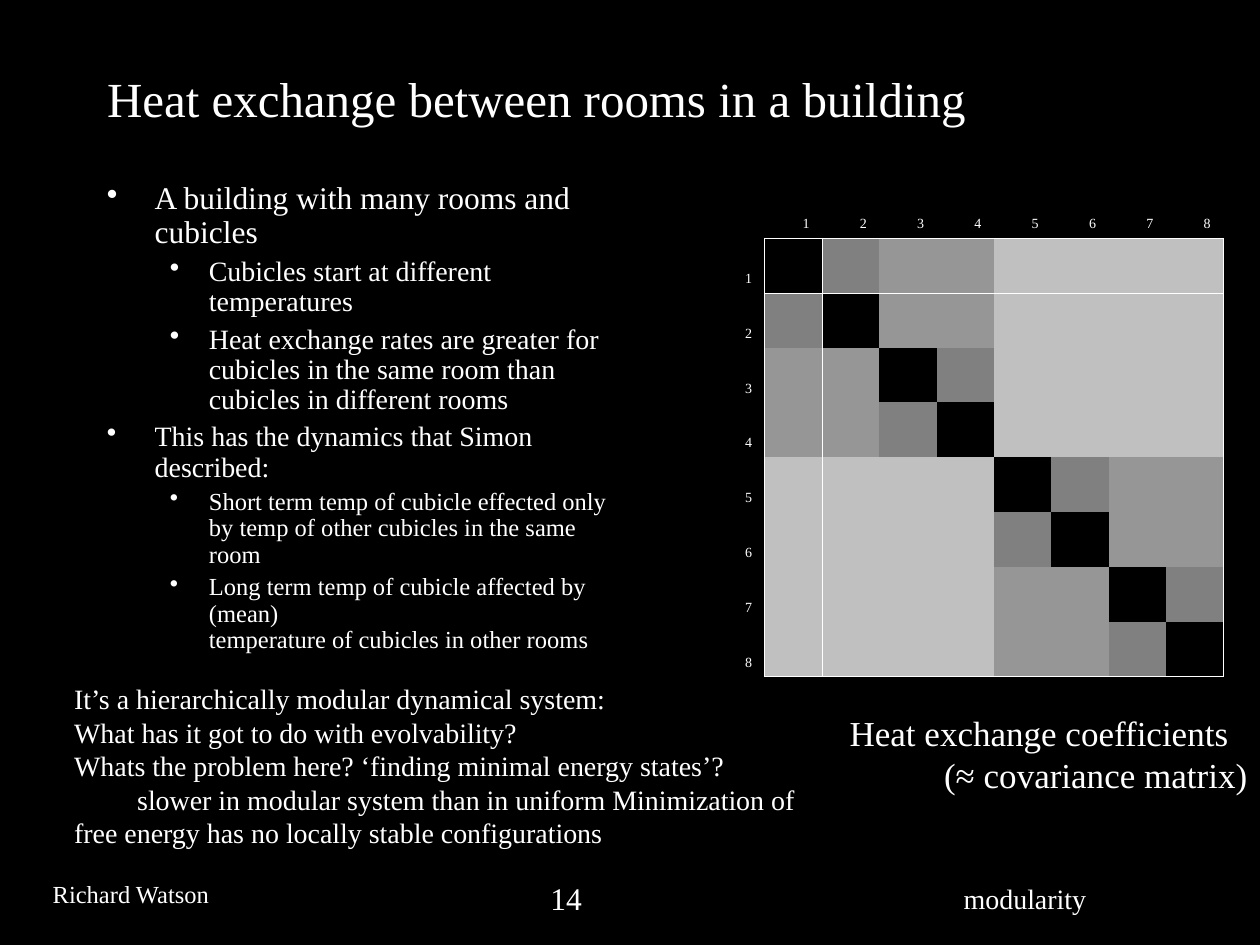
from lxml.etree import SubElement as Sub
from pptx import Presentation
from pptx.dml.color import RGBColor as Rgb
from pptx.enum.text import MSO_ANCHOR as Anchor, PP_ALIGN as Align
from pptx.oxml.ns import qn
from pptx.util import Inches, Pt

FONT = "Times New Roman"
COLORS = {"back": "000000", "text": "FFFFFF", "self": "000000",
          "room": "808080", "near": "969696", "far": "C0C0C0"}
SHADES = ["self", "room", "near", "far"]
PLAIN = "{2D5ABB26-0587-4C30-8999-92F81FD0307C}"
ROOMS = 8

# level, size, space before, text
BULLETS = [
    (0, 18, 0, "A building with many rooms and cubicles"),
    (1, 16, 4, "Cubicles start at different temperatures"),
    (1, 16, 4, "Heat exchange rates are greater for cubicles in the same room "
               "than cubicles in different rooms"),
    (0, 16, 4, "This has the dynamics that Simon\ndescribed:"),
    (1, 14, 3.5, "Short term temp of cubicle effected only\n"
                 "by temp of other cubicles in the same room"),
    (1, 14, 3.5, "Long term temp of cubicle affected by (mean)\n"
                 "temperature of cubicles in other rooms"),
]
NOTES = [
    "It’s a hierarchically modular dynamical system:\n"
    "What has it got to do with evolvability?",
    "Whats the problem here? ‘finding minimal energy states’?",
    "\tslower in modular system than in uniform "
    "Minimization of free energy has no locally stable configurations",
]
LABELS = [
    ((7.55, 6.95, 2.45, 0.36), 16, Align.LEFT, ["modularity"]),
    ((0.32, 6.93, 1.46, 0.34), 14, Align.LEFT, ["Richard Watson"]),
    ((4.27, 6.93, 1.24, 0.4), 18, Align.LEFT, ["14"]),
    ((0.49, 5.36, 6.12, 1.84), 16, Align.LEFT, NOTES),
    ((5.95, 5.6, 3.9, 0.44), 20, Align.RIGHT, ["Heat exchange coefficients"]),
    ((6.1, 5.93, 3.9, 0.44), 20, Align.RIGHT, ["(≈ covariance matrix)"]),
]


def color(name):
    return Rgb.from_string(COLORS[name])


def write(para, text, size, align=Align.LEFT):
    """Add text run by run, with a line break at each newline."""
    para.alignment = align
    for i, line in enumerate(text.split("\n")):
        if i:
            para.add_line_break()
        run = para.add_run()
        run.text = line
        run.font.name = FONT
        run.font.size = Pt(size)
        run.font.color.rgb = color("text")


def add_box(slide, place):
    frame = slide.shapes.add_textbox(*map(Inches, place)).text_frame
    frame.word_wrap = True
    return frame


def next_para(frame, index):
    return frame.add_paragraph() if index else frame.paragraphs[0]


def add_label(slide, place, size, align, lines):
    frame = add_box(slide, place)
    for i, line in enumerate(lines):
        write(next_para(frame, i), line, size, align)


def set_bullet(para, level):
    left, hang = [(0.38, 0.38), (0.81, 0.31)][level]
    para.level = level
    props = para._p.get_or_add_pPr()
    props.set("marL", str(Inches(left)))
    props.set("indent", str(-Inches(hang)))
    Sub(Sub(props, qn("a:buClr")), qn("a:srgbClr"), val=COLORS["text"])
    Sub(props, qn("a:buChar"), char="•")


def add_bullets(slide):
    frame = add_box(slide, (0.75, 1.4, 4.17, 4.33))
    for i, (level, size, gap, text) in enumerate(BULLETS):
        para = next_para(frame, i)
        set_bullet(para, level)
        para.line_spacing = 0.9
        para.space_before = Pt(gap)
        write(para, text, size)


def set_edges(cell, row, col):
    """Draw the frame round the matrix, on both cells that share an edge."""
    inside = row > 0 and col > 0
    edges = {
        "L": inside and col == 1,
        "R": row > 0 and col in (0, ROOMS),
        "T": inside and row == 1,
        "B": col > 0 and row in (0, ROOMS),
    }
    props = cell._tc.get_or_add_tcPr()
    for side, drawn in edges.items():
        if drawn:
            line = Sub(props, qn("a:ln" + side), w=str(Pt(0.45)))
            Sub(Sub(line, qn("a:solidFill")), qn("a:srgbClr"), val=COLORS["text"])


def fill_cell(cell, row, col):
    set_edges(cell, row, col)
    if row and col:
        # The highest bit in which two rooms differ gives their distance.
        step = ((row - 1) ^ (col - 1)).bit_length()
        cell.fill.solid()
        cell.fill.fore_color.rgb = color(SHADES[step])
        return
    cell.fill.background()
    if row or col:
        cell.vertical_anchor = Anchor.BOTTOM
        write(cell.text_frame.paragraphs[0], str(row or col), 8, Align.RIGHT)


def add_matrix(slide):
    count = ROOMS + 1
    place = map(Inches, (5.54, 1.19, 4.17, 4.18))
    table = slide.shapes.add_table(count, count, *place).table
    table.first_row = table.horz_banding = False
    table._tbl.tblPr.find(qn("a:tableStyleId")).text = PLAIN
    for i in range(count):
        table.columns[i].width = Inches(3.64 / ROOMS if i else 0.53)
        table.rows[i].height = Inches(3.48 / ROOMS if i else 0.7)
    for row in range(count):
        for col in range(count):
            fill_cell(table.cell(row, col), row, col)


def set_title(slide, text):
    title = slide.shapes.title
    title.left, title.top, title.width, title.height = map(
        Inches, (0.75, 0.41, 8.5, 0.73))
    title.text_frame.vertical_anchor = Anchor.MIDDLE
    write(title.text_frame.paragraphs[0], text, 28)


def main():
    deck = Presentation()
    deck.slide_width, deck.slide_height = Inches(10), Inches(7.5)
    slide = deck.slides.add_slide(deck.slide_layouts[5])
    slide.background.fill.solid()
    slide.background.fill.fore_color.rgb = color("back")
    set_title(slide, "Heat exchange between rooms in a building")
    add_bullets(slide)
    add_matrix(slide)
    for label in LABELS:
        add_label(slide, *label)
    deck.save("out.pptx")


if __name__ == "__main__":
    main()
